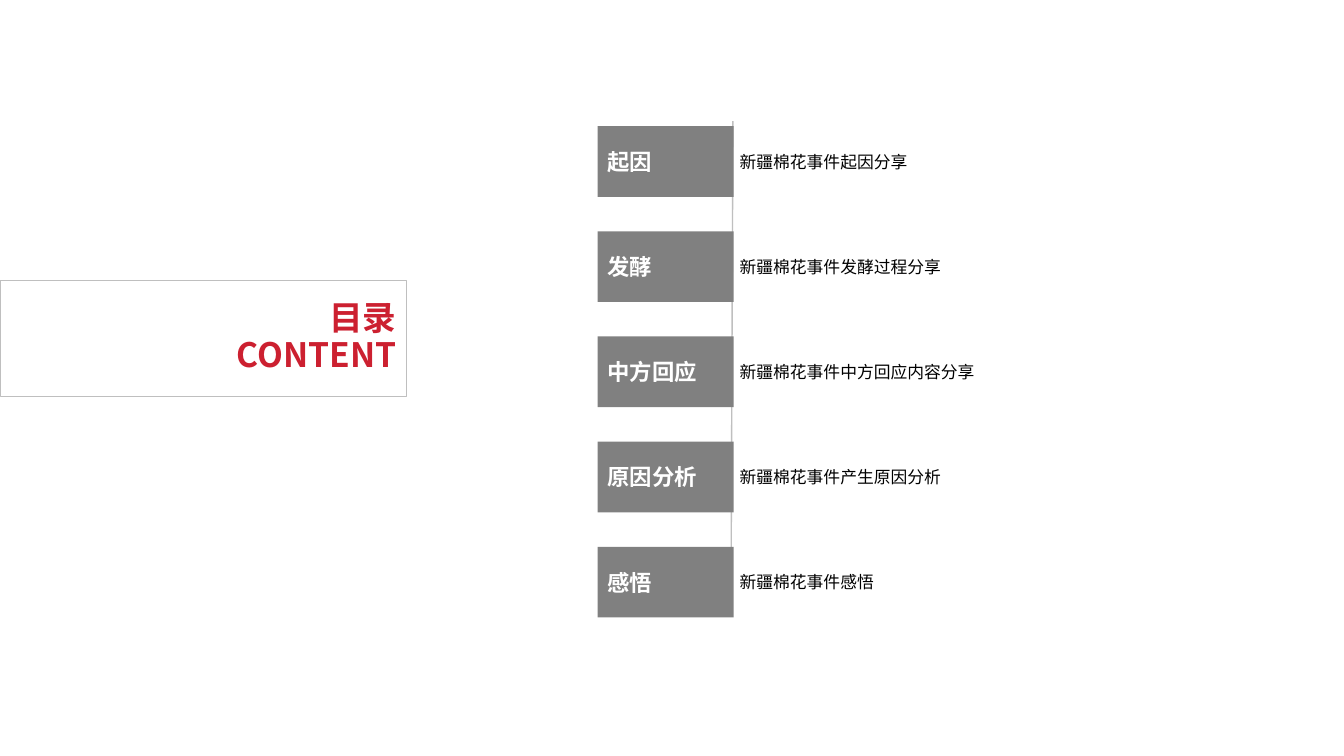
from dataclasses import dataclass

from lxml import etree
from pptx import Presentation
from pptx.dml.color import RGBColor
from pptx.enum.shapes import MSO_CONNECTOR, MSO_SHAPE
from pptx.enum.text import MSO_ANCHOR, MSO_AUTO_SIZE, PP_ALIGN
from pptx.oxml.ns import qn
from pptx.util import Cm, Pt

STRAIGHT = MSO_CONNECTOR.STRAIGHT
RECTANGLE = MSO_SHAPE.RECTANGLE
MIDDLE = MSO_ANCHOR.MIDDLE
NO_AUTOFIT = MSO_AUTO_SIZE.NONE
LEFT, RIGHT = PP_ALIGN.LEFT, PP_ALIGN.RIGHT
TITLE_ONLY = 5


@dataclass(frozen=True)
class Theme:
    font: str = "Noto Sans CJK SC"
    accent: RGBColor = RGBColor(0xCC, 0x20, 0x30)
    block: RGBColor = RGBColor(0x80, 0x80, 0x80)
    rule: RGBColor = RGBColor(0xBF, 0xBF, 0xBF)
    light: RGBColor = RGBColor(0xFF, 0xFF, 0xFF)
    dark: RGBColor = RGBColor(0, 0, 0)
    title_size: Pt = Pt(24)
    topic_size: Pt = Pt(16)
    summary_size: Pt = Pt(12)


THEME = Theme()

TOPICS = [
    ("起因", "新疆棉花事件起因分享"),
    ("发酵", "新疆棉花事件发酵过程分享"),
    ("中方回应", "新疆棉花事件中方回应内容分享"),
    ("原因分析", "新疆棉花事件产生原因分析"),
    ("感悟", "新疆棉花事件感悟"),
]
FIRST_TOP, PITCH, ROW_HEIGHT = Cm(3.18), Cm(2.65), Cm(1.78)
TOPIC_LEFT, TOPIC_WIDTH = Cm(15.06), Cm(3.43)
SUMMARY_LEFT, SUMMARY_WIDTH = Cm(18.39), Cm(14.91)


def write(shape, text, size, color, bold=False, align=LEFT):
    frame = shape.text_frame
    frame.text = text
    frame.word_wrap = True
    frame.auto_size = NO_AUTOFIT
    frame.vertical_anchor = MIDDLE
    paragraph = frame.paragraphs[0]
    paragraph.alignment = align
    for run in paragraph.runs:
        run.font.name = THEME.font
        run.font.size = size
        run.font.bold = bold
        run.font.color.rgb = color
        east_asian = etree.SubElement(run.font._element, qn("a:ea"))
        east_asian.set("typeface", THEME.font)


def add_title(slide):
    title = slide.shapes.title
    title.left, title.top = Cm(0), Cm(7.06)
    title.width, title.height = Cm(10.24), Cm(2.92)
    title.line.color.rgb = THEME.rule
    title.line.width = Pt(0.25)
    write(title, "目录\vCONTENT", THEME.title_size, THEME.accent, True, RIGHT)
    title.text_frame.paragraphs[0].line_spacing = 0.9


def add_spine(slide):
    """Draw the thin, slightly slanted line behind the topic blocks."""
    spine = slide.shapes.add_connector(
        STRAIGHT, Cm(18.47), Cm(3.05), Cm(18.42), Cm(15.54))
    spine.line.color.rgb = THEME.rule
    spine.line.width = Pt(1)
    etree.SubElement(spine._element.spPr, qn("a:effectLst"))


def add_topic(slide, top, topic, summary):
    block = slide.shapes.add_shape(
        RECTANGLE, TOPIC_LEFT, top, TOPIC_WIDTH, ROW_HEIGHT)
    block.shadow.inherit = False
    block.fill.solid()
    block.fill.fore_color.rgb = THEME.block
    block.line.fill.background()
    write(block, topic, THEME.topic_size, THEME.light, bold=True)

    description = slide.shapes.add_textbox(
        SUMMARY_LEFT, top, SUMMARY_WIDTH, ROW_HEIGHT)
    write(description, summary, THEME.summary_size, THEME.dark)


def main():
    deck = Presentation()
    deck.slide_width, deck.slide_height = Cm(33.87), Cm(19.05)
    slide = deck.slides.add_slide(deck.slide_layouts[TITLE_ONLY])
    add_title(slide)
    add_spine(slide)
    for row, (topic, summary) in enumerate(TOPICS):
        add_topic(slide, FIRST_TOP + row * PITCH, topic, summary)
    deck.save("out.pptx")


if __name__ == "__main__":
    main()
